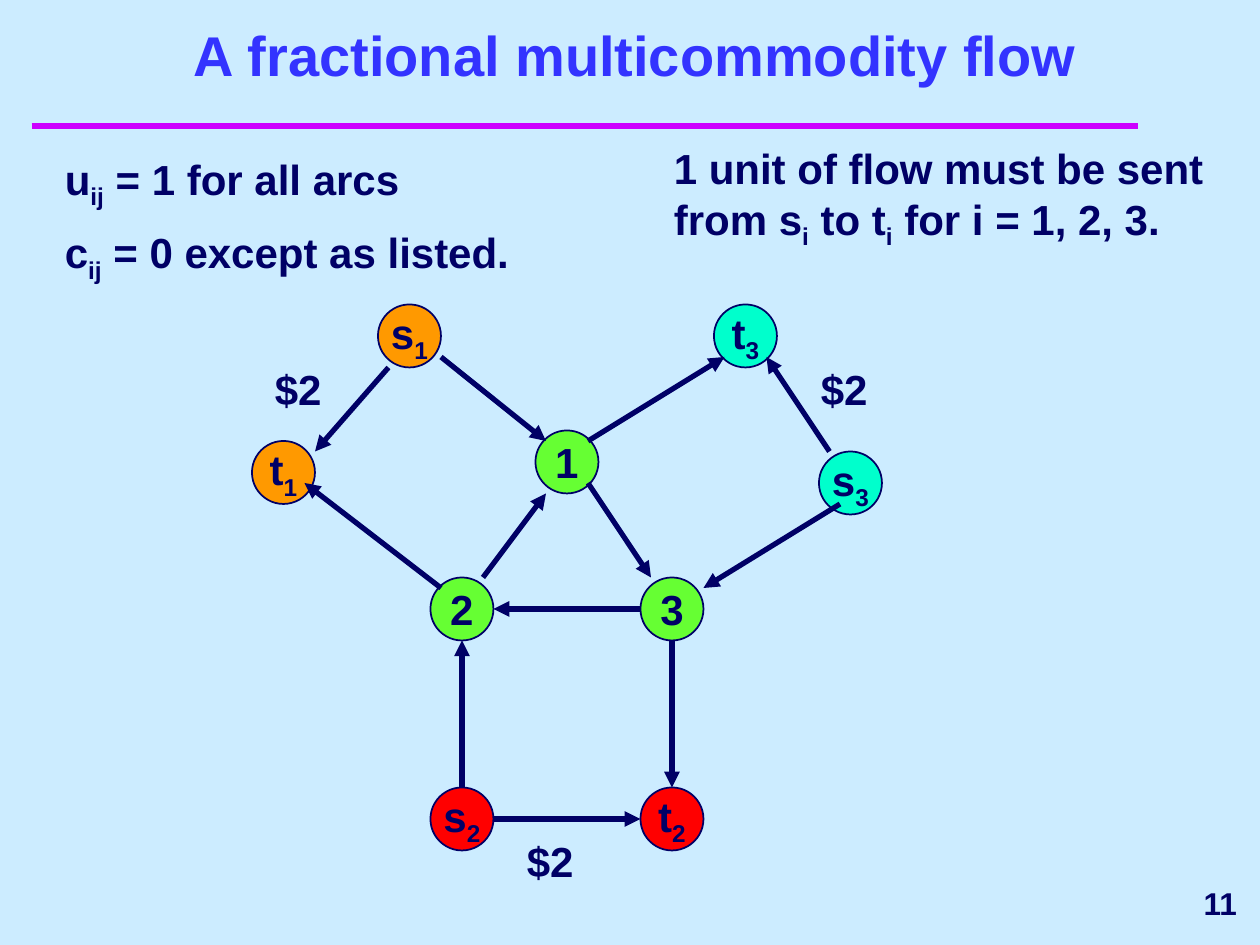
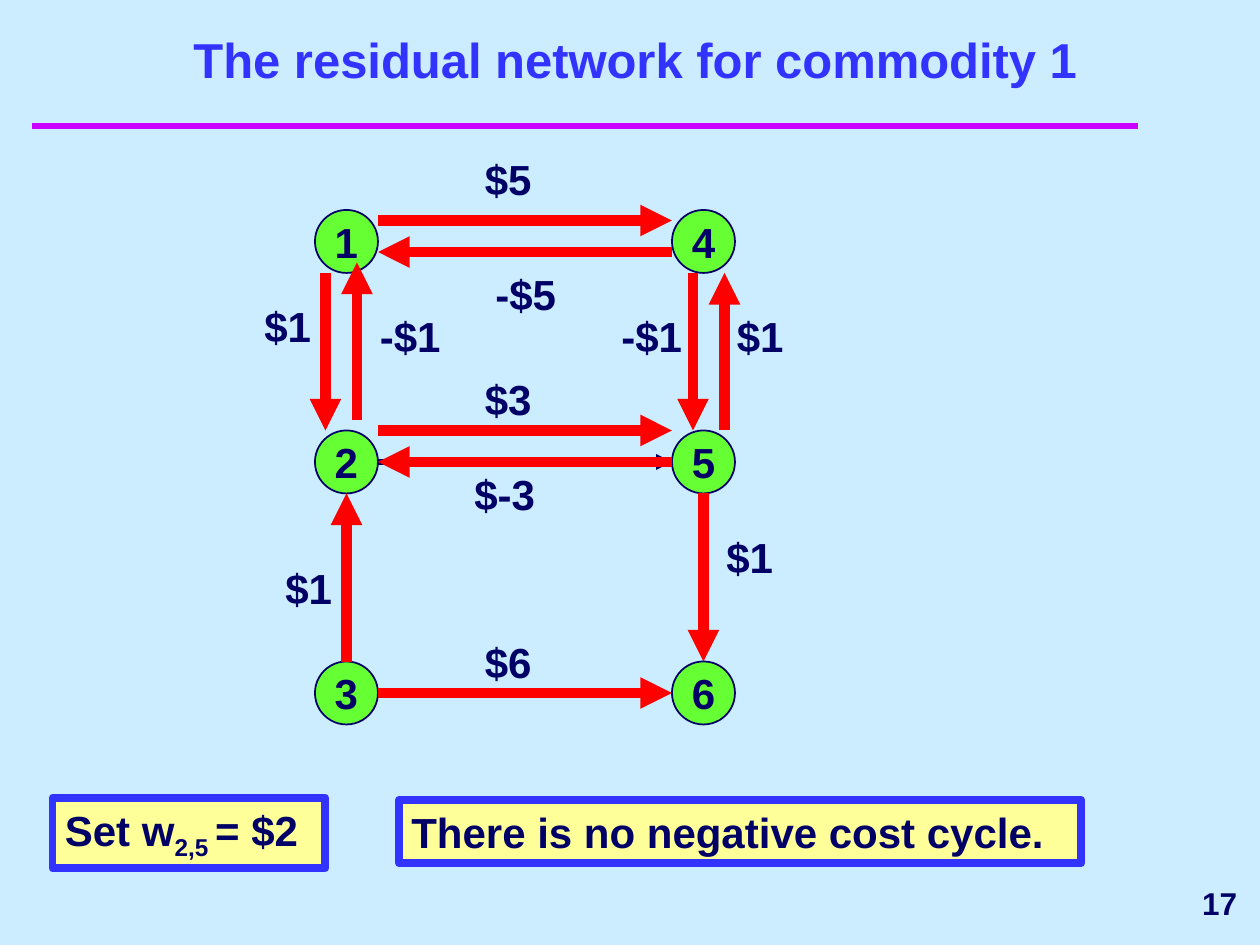
from itertools import product

from lxml import etree
from pptx import Presentation
from pptx.dml.color import RGBColor
from pptx.enum.shapes import MSO_CONNECTOR, MSO_SHAPE
from pptx.enum.text import MSO_ANCHOR, MSO_AUTO_SIZE, PP_ALIGN
from pptx.oxml.ns import qn
from pptx.util import Inches, Pt

STRAIGHT = MSO_CONNECTOR.STRAIGHT
ELLIPSE, RECTANGLE = MSO_SHAPE.OVAL, MSO_SHAPE.RECTANGLE
TOP, MIDDLE, BOTTOM = MSO_ANCHOR.TOP, MSO_ANCHOR.MIDDLE, MSO_ANCHOR.BOTTOM
LEFT, CENTER, RIGHT = PP_ALIGN.LEFT, PP_ALIGN.CENTER, PP_ALIGN.RIGHT
NO_FIT = MSO_AUTO_SIZE.NONE

SLIDE_WIDTH, SLIDE_HEIGHT = Inches(10), Inches(7.5)
COLUMNS, ROWS = 120, 90
CELL = SLIDE_WIDTH / COLUMNS

FONT = "Arial"
SKY, NAVY, BLUE, MAGENTA = "CCECFF", "000066", "3333FF", "CC00FF"
ORANGE, AQUA, GREEN, RED, CREAM = "FF9900", "00FFCC", "66FF33", "FF0000", "FFFF99"
NODE_SIZE = 6
LABEL_HEIGHT = 6


def color(hex_code):
    return RGBColor.from_string(hex_code)


def cells(*counts):
    return [round(count * CELL) for count in counts]


def place(box, column, row):
    return box[0] + column, box[1] + row


def write(frame, text, size=24, ink=NAVY, align=LEFT, anchor=TOP):
    frame.word_wrap = True
    frame.auto_size = NO_FIT
    frame.vertical_anchor = anchor
    paragraph = frame.paragraphs[0]
    for index, part in enumerate(text.split("|")):
        run = paragraph.add_run()
        run.text = part
        if index % 2:
            run._r.get_or_add_rPr().set("baseline", "-25000")
    paragraph.alignment = align
    font = paragraph.font
    font.name, font.size, font.bold = FONT, Pt(size), True
    font.color.rgb = color(ink)


def add_text(slide, box, text, **style):
    write(slide.shapes.add_textbox(*cells(*box)).text_frame, text, **style)


def add_filled(slide, preset, box, fill, outline, width):
    shape = slide.shapes.add_shape(preset, *cells(*box))
    shape.shadow.inherit = False
    shape.fill.solid()
    shape.fill.fore_color.rgb = color(fill)
    shape.line.color.rgb = color(outline)
    shape.line.width = Pt(width)
    return shape.text_frame


def add_node(slide, corner, text, fill):
    frame = add_filled(slide, ELLIPSE, (*corner, NODE_SIZE, NODE_SIZE), fill, NAVY, 1)
    frame.margin_left = frame.margin_right = 0
    write(frame, text, align=CENTER, anchor=MIDDLE)
    frame.word_wrap = False


def add_callout(slide, box, text):
    write(add_filled(slide, RECTANGLE, box, CREAM, BLUE, 4.5), text)


def add_line(slide, start, end, ink, width):
    line = slide.shapes.add_connector(STRAIGHT, *cells(*start, *end))
    line.line.color.rgb = color(ink)
    line.line.width = Pt(width)
    etree.SubElement(line._element.spPr, qn("a:effectLst"))
    return line


def add_arrow(slide, start, end, ink=NAVY, width=3):
    arrow = add_line(slide, start, end, ink, width)
    etree.SubElement(arrow.line._get_or_add_ln(), qn("a:tailEnd"), type="triangle")


def add_framed_slide(prs, title, number, title_size):
    slide = prs.slides.add_slide(prs.slide_layouts[5])
    add_line(slide, (3, 12), (108.36, 12), MAGENTA, 4)
    add_text(slide, (96, 83, 23, 6), number, size=18, align=RIGHT, anchor=MIDDLE)
    heading = slide.shapes.title
    heading.left, heading.top, heading.width, heading.height = cells(5, 4, 111, 5)
    write(heading.text_frame, title, title_size, BLUE, CENTER, BOTTOM)
    return slide


def draw_network(slide, box, nodes, arrows, labels, arrow_ink=NAVY, arrow_width=3):
    for text, column, row, fill in nodes:
        add_node(slide, place(box, column, row), text, fill)
    for start, end in arrows:
        add_arrow(slide, place(box, *start), place(box, *end), arrow_ink, arrow_width)
    for text, column, row, width in labels:
        add_text(slide, (*place(box, column, row), width, LABEL_HEIGHT), text)


def draw_multicommodity_network(slide, box):
    nodes = [
        ("s|1", 12, 0, ORANGE), ("t|3", 44, 0, AQUA), ("1", 27, 12, GREEN),
        ("t|1", 0, 13, ORANGE), ("2", 17, 26, GREEN), ("s|2", 17, 46, RED),
        ("3", 37, 26, GREEN), ("s|3", 54, 14, AQUA), ("t|2", 37, 46, RED),
    ]
    arrows = [
        ((18, 5), (28, 13)), ((32, 13), (45, 5)), ((37, 29), (23, 29)),
        ((22, 26), (28, 18)), ((32, 17), (38, 26)), ((18, 27), (5, 17)),
        ((13, 6), (6, 14)), ((56, 19), (43, 27)), ((55, 14), (49, 5)),
        ((20, 46), (20, 32)), ((40, 32), (40, 46)), ((23, 49), (37, 49)),
    ]
    costs = [("$2", column, row, 11) for column, row in ((1, 5), (53, 5), (25, 50))]
    draw_network(slide, box, nodes, arrows, costs)


def draw_residual_network(slide, box):
    left, right = 6, 40
    corners = product((left, right), (6, 27, 49))
    nodes = [(str(index), column, row, GREEN)
             for index, (column, row) in enumerate(corners, 1)]
    draw_network(slide, box, nodes, [((12, 30), (right, 30))], [])

    west, east = left + NODE_SIZE, right
    rightward = [((west, row), (east, row)) for row in (7, 27, 52)]
    leftward = [((east, row), (west, row)) for row in (10, 30)]
    vertical = [
        ((9, 49), (9, 33)), ((43, 33), (43, 49)), ((7, 12), (7, 27)),
        ((10, 26), (10, 11)), ((42, 12), (42, 27)), ((45, 27), (45, 12)),
    ]
    costs = [
        ("$5", 21, 0, 8), ("-$5", 22, 11, 11), ("$3", 21, 21, 14),
        ("$-3", 20, 30, 14), ("$6", 21, 46, 7), ("$1", 2, 39, 7),
        ("$1", 0, 14, 7), ("-$1", 11, 15, 9), ("-$1", 34, 15, 9),
        ("$1", 45, 15, 8), ("$1", 44, 36, 7),
    ]
    draw_network(slide, box, [], rightward + leftward + vertical, costs, RED, 6)


def build_flow_slide(prs):
    slide = add_framed_slide(prs, "A fractional multicommodity flow", "11", 32)
    draw_multicommodity_network(slide, (24, 29))
    add_text(slide, (5, 14, 37, 6.7), "u|ij| = 1 for all arcs")
    add_text(slide, (5, 21, 48, 6.7), "c|ij| = 0 except as listed.")
    add_text(slide, (63, 13, 54, 11.5),
             "1 unit of flow must be sent from s|i| to t|i| for i = 1, 2, 3.")


def build_residual_slide(prs):
    slide = add_framed_slide(prs, "The residual network for commodity 1", "17", 28)
    draw_residual_network(slide, (24, 14))
    add_callout(slide, (5, 76, 26, 6.7), "Set w|2,5 |= $2")
    add_callout(slide, (38, 76.2, 65, 6), "There is no negative cost cycle.")


def main():
    prs = Presentation()
    prs.slide_width, prs.slide_height = SLIDE_WIDTH, SLIDE_HEIGHT
    backdrop = prs.slide_master.background.fill
    backdrop.solid()
    backdrop.fore_color.rgb = color(SKY)
    build_flow_slide(prs)
    build_residual_slide(prs)
    prs.save("out.pptx")


if __name__ == "__main__":
    main()
